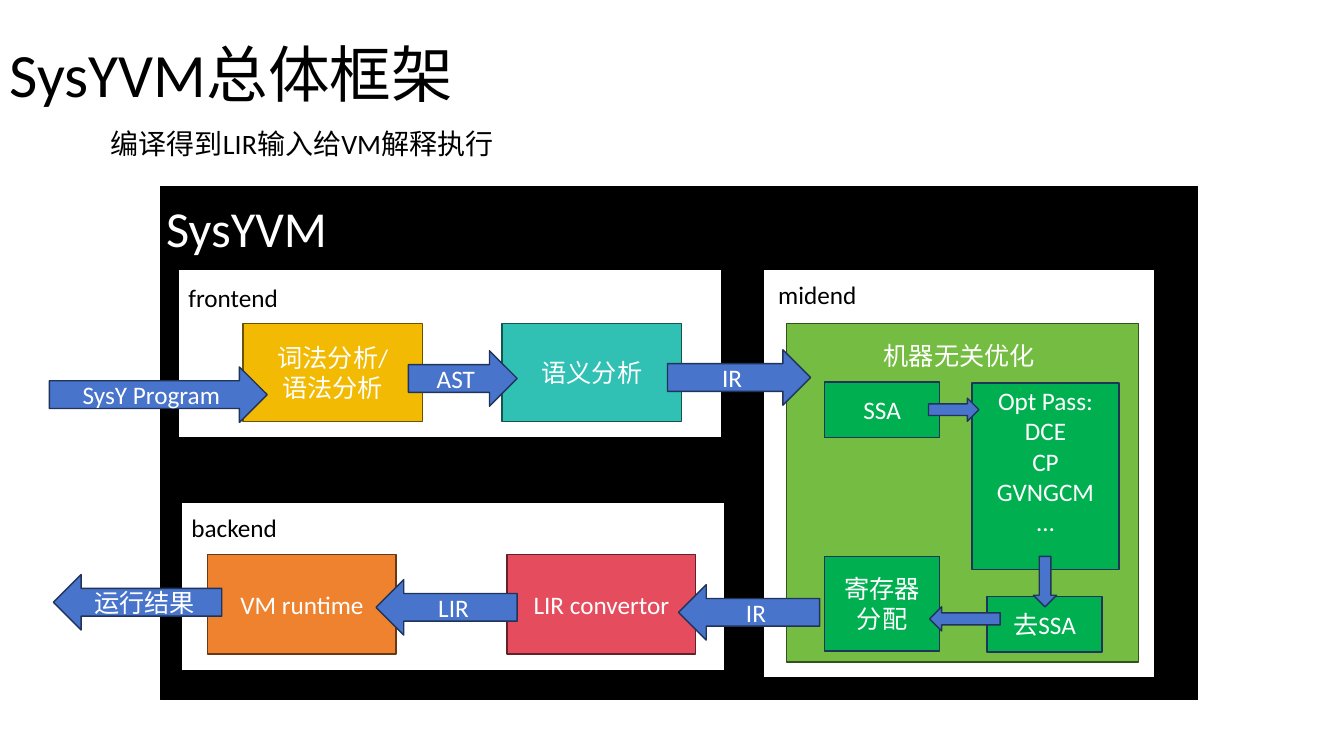
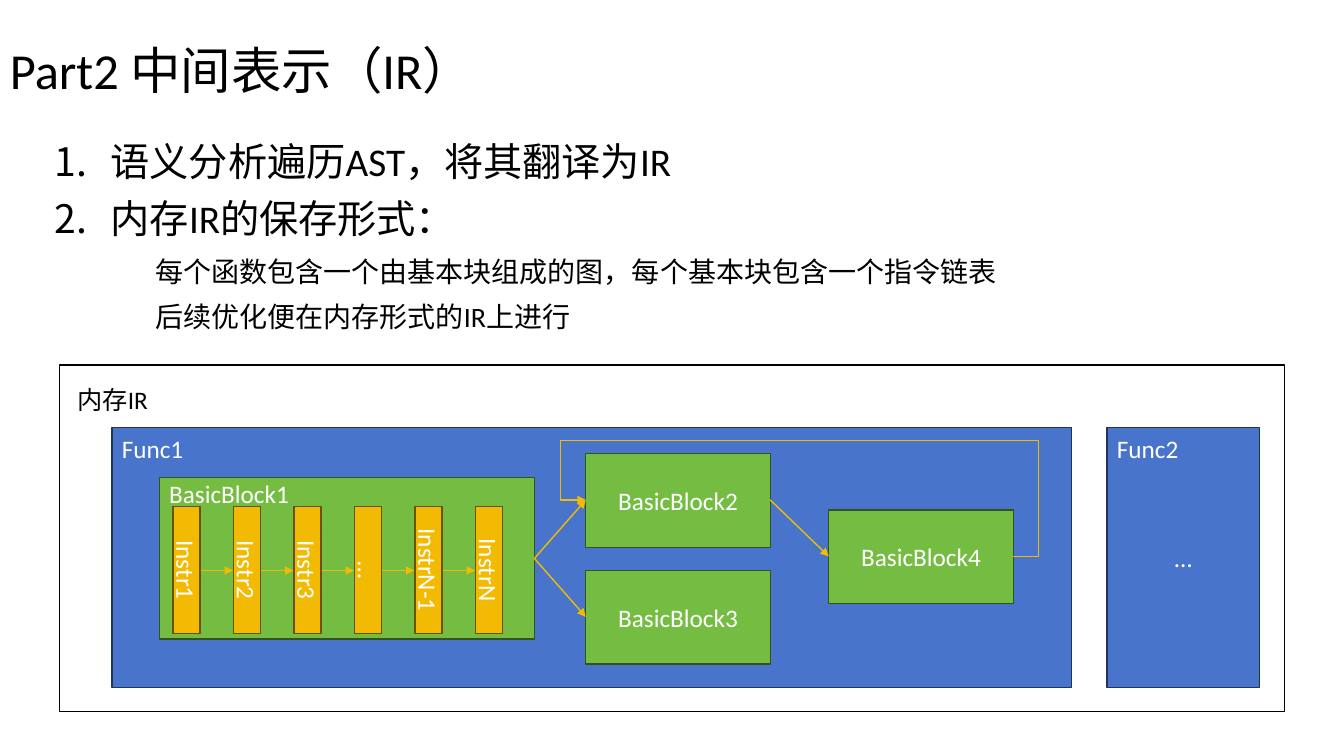
from lxml import etree
from pptx import Presentation
from pptx import util as u
from pptx.dml.color import RGBColor
from pptx.enum import shapes as s
from pptx.enum import text as t
from pptx.oxml.ns import qn

PX = 9144  # 100 px to the inch
FONT = "Calibri"
COLORS = {
    "black": "000000", "white": "FFFFFF", "blue": "4874CB", "navy": "203359",
    "gold": "F2BA02", "brown": "6A5201", "teal": "30C0B4", "deep teal": "15544F",
    "lime": "75BD42", "moss": "33531D", "green": "00B050",
    "red": "E54C5E", "wine": "642129", "orange": "EE822F", "rust": "683915",
}
# style: (fill, outline)
STYLES = {
    "frame": ("black", "black"), "panel": ("white", "black"),
    "blue": ("blue", "navy"), "gold": ("gold", "brown"),
    "teal": ("teal", "deep teal"), "lime": ("lime", "moss"),
    "green": ("green", "navy"), "red": ("red", "wine"),
    "orange": ("orange", "rust"),
}
RECT = s.MSO_SHAPE.RECTANGLE
RIGHT = s.MSO_SHAPE.RIGHT_ARROW
LEFT = s.MSO_SHAPE.LEFT_ARROW
DOWN = s.MSO_SHAPE.DOWN_ARROW
LABEL_HEIGHT = 40

# Slide 1: framework
FRAMEWORK_TITLE = [
    ("SysYVM总体框架", {"size": 44}),
    ("编译得到LIR输入给VM解释执行", {"size": 20, "indent": 100, "before": 14}),
]
FRAMEWORK_BOXES = [
    ((159, 185, 1029, 509), "frame", []),
    ((177, 267, 539, 167), "panel", []),
    ((757, 267, 388, 405), "panel", []),
    ((180, 498, 539, 167), "panel", []),
    ((241, 321, 178, 97), "gold", ["词法分析/", "语法分析"]),
    ((498, 321, 178, 97), "teal", ["语义分析"]),
    ((780, 321, 349, 336), "lime", []),
    ((818, 379, 114, 55), "green", ["SSA"]),
    ((979, 592, 114, 55), "green", ["去SSA"]),
    ((818, 552, 114, 94), "green", ["寄存器分配"]),
    ((503, 550, 187, 99), "red", ["LIR convertor"]),
    ((206, 550, 187, 99), "orange", ["VM runtime"]),
]
OPT_PASS_BOX = (964, 380, 146, 185)
OPT_PASS_LINES = ["Opt Pass:", "DCE", "CP", "GVNGCM", "…"]
FRAMEWORK_ARROWS = [
    (RIGHT, (49, 364, 216, 55), ["SysY Program"]),
    (RIGHT, (405, 348, 108, 55), ["AST"]),
    (RIGHT, (662, 347, 142, 55), ["IR"]),
    (RIGHT, (921, 395, 50, 23), []),
    (DOWN, (1025, 552, 23, 50), []),
    (LEFT, (922, 602, 70, 24), []),
    (LEFT, (673, 580, 140, 55), ["IR"]),
    (LEFT, (373, 575, 140, 55), ["LIR"]),
    (LEFT, (53, 570, 167, 55), ["运行结果"]),
]
FRAMEWORK_LABELS = [
    ("SysYVM", (155, 191, 248, 71), {"size": 36, "color": "white"}),
    ("frontend", (177, 275, 133, LABEL_HEIGHT), {}),
    ("midend", (762, 272, 133, LABEL_HEIGHT), {}),
    ("backend", (180, 503, 133, LABEL_HEIGHT), {}),
    ("机器无关优化", (835, 333, 233, LABEL_HEIGHT),
     {"color": "white", "align": t.PP_ALIGN.CENTER}),
]

# Slide 2: intermediate representation
IR_TITLE = [("Part2 中间表示（IR）", {"size": 36})]
NUMBERED = {"size": 28, "indent": 56, "hanging": 56, "numbered": True}
IR_POINTS = [
    ("语义分析遍历AST，将其翻译为IR", NUMBERED),
    ("内存IR的保存形式：", NUMBERED),
    ("每个函数包含一个由基本块组成的图，每个基本块包含一个指令链表",
     {"indent": 100, "before": 12}),
    ("后续优化便在内存形式的IR上进行", {"indent": 100}),
]
BLOCK_1 = (158, 474, 372, 160)
BLOCK_2 = (581, 450, 183, 93)
BLOCK_3 = (581, 566, 183, 93)
BLOCK_4 = (822, 506, 183, 93)
IR_BOXES = [
    ((59, 362, 1215, 344), "panel", []),
    ((111, 424, 952, 258), "blue", []),
    ((1098, 424, 151, 258), "blue", ["…"]),
    (BLOCK_1, "lime", []),
    (BLOCK_2, "lime", ["BasicBlock2"]),
    (BLOCK_3, "lime", ["BasicBlock3"]),
    (BLOCK_4, "lime", ["BasicBlock4"]),
]
IR_LABELS = [
    ("内存IR", (67, 376, 116, LABEL_HEIGHT), {}),
    ("Func1", (111, 425, 116, LABEL_HEIGHT), {"color": "white"}),
    ("Func2", (1098, 425, 116, LABEL_HEIGHT), {"color": "white"}),
    ("BasicBlock1", (158, 470, 174, LABEL_HEIGHT), {"color": "white"}),
]
BLOCK_EDGES = [(BLOCK_1, BLOCK_2), (BLOCK_1, BLOCK_3), (BLOCK_2, BLOCK_4)]
LOOP_ADJUSTMENTS = (-5900, 205100, 105900)
INSTRUCTIONS = ["Instr1", "Instr2", "Instr3", "…", "InstrN-1", "InstrN"]
INSTRUCTION_LENGTH, INSTRUCTION_WIDTH = 126, 27
INSTRUCTION_X, INSTRUCTION_Y, INSTRUCTION_PITCH = 185, 566, 60


def rgb(name):
    return RGBColor.from_string(COLORS[name])


def emu(lengths):
    return [length * PX for length in lengths]


def write_text(shape, lines, anchor=t.MSO_ANCHOR.TOP, **shared):
    """Fill a shape; a line is a string or a (string, own format) pair."""
    frame = shape.text_frame
    frame.word_wrap = True
    frame.vertical_anchor = anchor
    for index, line in enumerate(lines):
        words, own = (line, {}) if isinstance(line, str) else line
        style = {"size": 18, "color": "black", "align": t.PP_ALIGN.LEFT,
                 "spacing": 1.0, "before": 0, "indent": 0, "hanging": 0,
                 "numbered": False, **shared, **own}
        paragraph = frame.add_paragraph() if index else frame.paragraphs[0]
        paragraph.alignment = style["align"]
        paragraph.line_spacing = style["spacing"]
        paragraph.space_before = u.Pt(style["before"])
        properties = paragraph._p.get_or_add_pPr()
        properties.set("marL", str(style["indent"] * PX))
        properties.set("indent", str(-style["hanging"] * PX))
        if style["numbered"]:
            etree.SubElement(properties, qn("a:buAutoNum"), type="arabicPeriod")
        run = paragraph.add_run()
        run.text = words
        run.font.name = FONT
        run.font.size = u.Pt(style["size"])
        run.font.color.rgb = rgb(style["color"])


def add_text(slide, box, lines, **style):
    write_text(slide.shapes.add_textbox(*emu(box)), lines, **style)


def add_title(slide, top, lines):
    add_text(slide, (0, top, 1150, 145), lines,
             anchor=t.MSO_ANCHOR.MIDDLE, spacing=0.9)


def add_labels(slide, labels):
    for words, box, style in labels:
        add_text(slide, box, [words], **style)


def add_box(slide, box, style, lines, kind=RECT):
    shape = slide.shapes.add_shape(kind, *emu(box))
    fill, outline = STYLES[style]
    shape.shadow.inherit = False
    shape.fill.solid()
    shape.fill.fore_color.rgb = rgb(fill)
    shape.line.color.rgb = rgb(outline)
    shape.line.width = u.Pt(1)
    if lines:
        write_text(shape, lines, anchor=t.MSO_ANCHOR.MIDDLE,
                   color="white", align=t.PP_ALIGN.CENTER)
    return shape


def add_link(slide, start, end, kind=s.MSO_CONNECTOR.STRAIGHT):
    link = slide.shapes.add_connector(kind, *emu(start + end))
    link.line.color.rgb = rgb("gold")
    link.line.width = u.Pt(1)
    etree.SubElement(link.line._get_or_add_ln(), qn("a:tailEnd"), type="triangle")
    etree.SubElement(link._element.spPr, qn("a:effectLst"))
    return link


def add_loop(slide, start, end):
    """Draw an elbow link that leaves to the right and returns over the top."""
    link = add_link(slide, start, end, s.MSO_CONNECTOR.ELBOW)
    geometry = link._element.spPr.find(qn("a:prstGeom"))
    geometry.set("prst", "bentConnector5")
    guides = geometry.find(qn("a:avLst"))
    if guides is None:
        guides = etree.SubElement(geometry, qn("a:avLst"))
    for number, value in enumerate(LOOP_ADJUSTMENTS, 1):
        etree.SubElement(guides, qn("a:gd"), name=f"adj{number}", fmla=f"val {value}")


def left_middle(box):
    left, top, _, height = box
    return left, top + height // 2


def right_middle(box):
    left, top, width, height = box
    return left + width, top + height // 2


def build_framework(slide):
    for box in FRAMEWORK_BOXES:
        add_box(slide, *box)
    opt_pass = add_box(slide, OPT_PASS_BOX, "green", OPT_PASS_LINES)
    opt_pass.text_frame.margin_bottom = 35 * PX
    for kind, box, lines in FRAMEWORK_ARROWS:
        add_box(slide, box, "blue", lines, kind)
    add_title(slide, 29, FRAMEWORK_TITLE)
    add_labels(slide, FRAMEWORK_LABELS)


def add_instructions(slide):
    half = INSTRUCTION_WIDTH // 2 + 1
    centers = [INSTRUCTION_X + i * INSTRUCTION_PITCH for i in range(len(INSTRUCTIONS))]
    for center, name in zip(centers, INSTRUCTIONS):
        box = (center - INSTRUCTION_LENGTH // 2, INSTRUCTION_Y - half,
               INSTRUCTION_LENGTH, INSTRUCTION_WIDTH)
        add_box(slide, box, "gold", [name]).rotation = 90
    for center, following in zip(centers, centers[1:]):
        add_link(slide, (center + half, INSTRUCTION_Y), (following - half, INSTRUCTION_Y))


def build_representation(slide):
    add_title(slide, 0, IR_TITLE)
    add_text(slide, (44, 137, 1246, 225), IR_POINTS, size=20, spacing=0.9, before=10)
    for box in IR_BOXES:
        add_box(slide, *box)
    add_labels(slide, IR_LABELS)
    for source, target in BLOCK_EDGES:
        add_link(slide, right_middle(source), left_middle(target))
    add_loop(slide, right_middle(BLOCK_4), left_middle(BLOCK_2))
    add_instructions(slide)


def main():
    presentation = Presentation()
    presentation.slide_width = u.Inches(13.33)
    presentation.slide_height = u.Inches(7.5)
    for build in (build_framework, build_representation):
        build(presentation.slides.add_slide(presentation.slide_layouts[6]))
    presentation.save("out.pptx")


if __name__ == "__main__":
    main()
